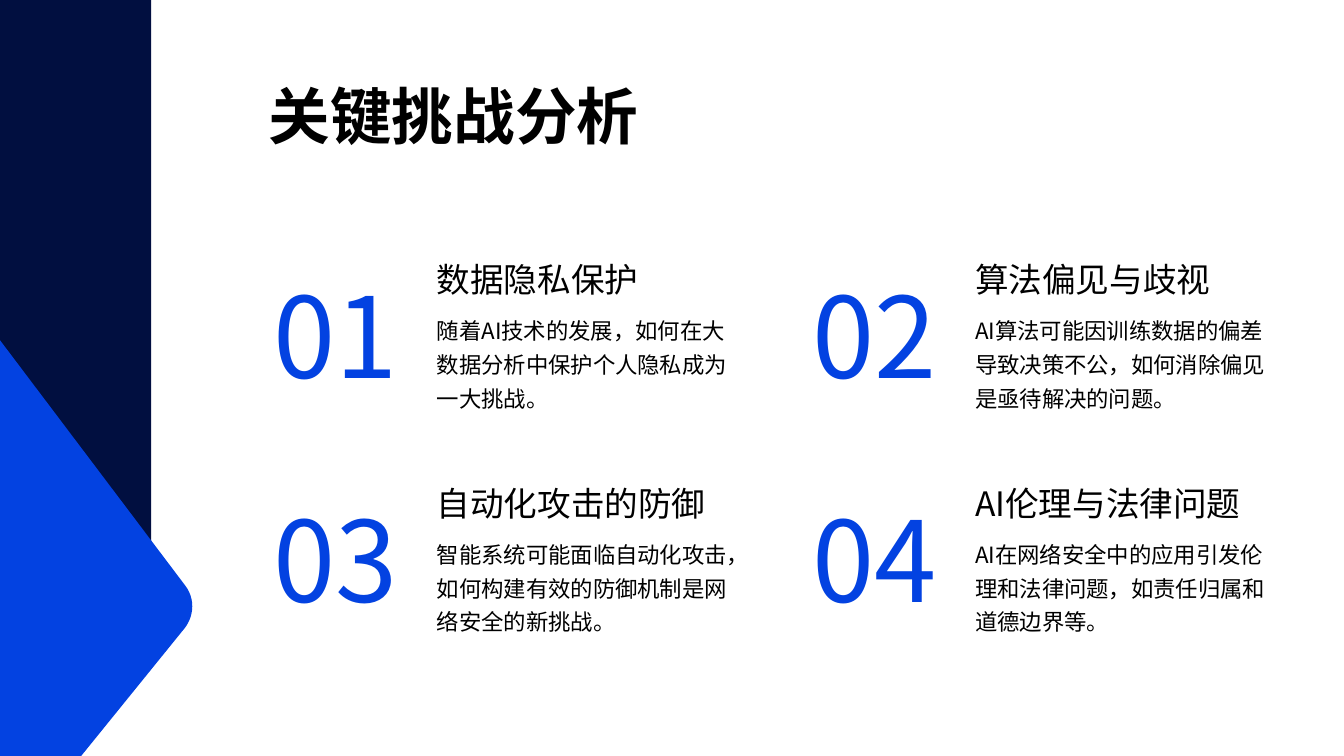
import pptx
import pptx.dml.color
import pptx.enum.text
import pptx.oxml.ns
import pptx.util
from lxml import etree

NAVY = pptx.dml.color.RGBColor(0x01, 0x0F, 0x40)
BLUE = pptx.dml.color.RGBColor(0x03, 0x42, 0xE1)
BLACK = pptx.dml.color.RGBColor(0x00, 0x00, 0x00)

CHALLENGES = [
    ("数据隐私保护", "随着AI技术的发展，如何在大数据分析中保护个人隐私成为一大挑战。"),
    ("算法偏见与歧视", "AI算法可能因训练数据的偏差导致决策不公，如何消除偏见是亟待解决的问题。"),
    ("自动化攻击的防御", "智能系统可能面临自动化攻击，如何构建有效的防御机制是网络安全的新挑战。"),
    ("AI伦理与法律问题", "AI在网络安全中的应用引发伦理和法律问题，如责任归属和道德边界等。"),
]


def rounded_corner(start, control_1, control_2, end, steps=12):
    points = []
    for step in range(steps + 1):
        t = step / steps
        weights = ((1 - t) ** 3, 3 * t * (1 - t) ** 2, 3 * t * t * (1 - t), t ** 3)
        corners = (start, control_1, control_2, end)
        points.append(tuple(sum(w * c[axis] for w, c in zip(weights, corners)) for axis in (0, 1)))
    return points


class ChallengeSlide:
    font_name = "Noto Sans CJK SC"

    def __init__(self, slide):
        self.slide = slide

    def panel(self, outline, color):
        points = [(pptx.util.Pt(x), pptx.util.Pt(y)) for x, y in outline]
        builder = self.slide.shapes.build_freeform(*points[0], scale=1.0)
        builder.add_line_segments(points[1:], close=True)
        panel = builder.convert_to_shape()
        panel.shadow.inherit = False
        panel.fill.solid()
        panel.fill.fore_color.rgb = color
        panel.line.fill.background()

    def text(self, words, left, top, width, height, size, spacing, color=BLACK,
             bold=False, align=pptx.enum.text.PP_ALIGN.LEFT,
             anchor=pptx.enum.text.MSO_ANCHOR.TOP):
        box = self.slide.shapes.add_textbox(*map(pptx.util.Pt, (left, top, width, height)))
        frame = box.text_frame
        frame.word_wrap = True
        frame.vertical_anchor = anchor
        frame.margin_left = frame.margin_right = frame.margin_top = frame.margin_bottom = 0
        paragraph = frame.paragraphs[0]
        paragraph.text = words
        paragraph.alignment = align
        paragraph.line_spacing = spacing
        font = paragraph.font
        font.size = pptx.util.Pt(size)
        font.bold = bold
        font.color.rgb = color
        font.name = self.font_name
        properties = paragraph._p.pPr.find(pptx.oxml.ns.qn("a:defRPr"))
        east_asian = etree.SubElement(properties, pptx.oxml.ns.qn("a:ea"))
        east_asian.set("typeface", self.font_name)

    def challenge(self, number, heading, detail, left, top):
        self.text(f"{number:02d}", left, top, 114, 105, 80, 1.09, BLUE,
                  align=pptx.enum.text.PP_ALIGN.CENTER,
                  anchor=pptx.enum.text.MSO_ANCHOR.MIDDLE)
        self.text(heading, left + 129, top + 0.5, 222, 32, 24, 1.11)
        self.text(detail, left + 129, top + 40.5, 220.5, 72, 16, 1.25)


def main():
    presentation = pptx.Presentation()
    presentation.slide_width = pptx.util.Pt(960)
    presentation.slide_height = pptx.util.Pt(540)
    page = ChallengeSlide(presentation.slides.add_slide(presentation.slide_layouts[6]))

    navy_corner = rounded_corner((103, 440.5), (106, 436.5), (108, 431), (108, 425.5))
    page.panel([(0, 0), (0, 540), (24, 540), *navy_corner, (108, 0)], NAVY)
    blue_corner = rounded_corner((132.5, 448), (139, 439), (139, 427), (132.5, 418.5))
    page.panel([(0, 540), (58, 540), *blue_corner, (0, 243)], BLUE)

    for index, (heading, detail) in enumerate(CHALLENGES):
        row, column = divmod(index, 2)
        page.challenge(index + 1, heading, detail, 183 + 384.5 * column, 181.5 + 160 * row)
    page.text("关键挑战分析", 192, 48, 731, 60, 44, 1.14, bold=True)

    presentation.save("out.pptx")


if __name__ == "__main__":
    main()
